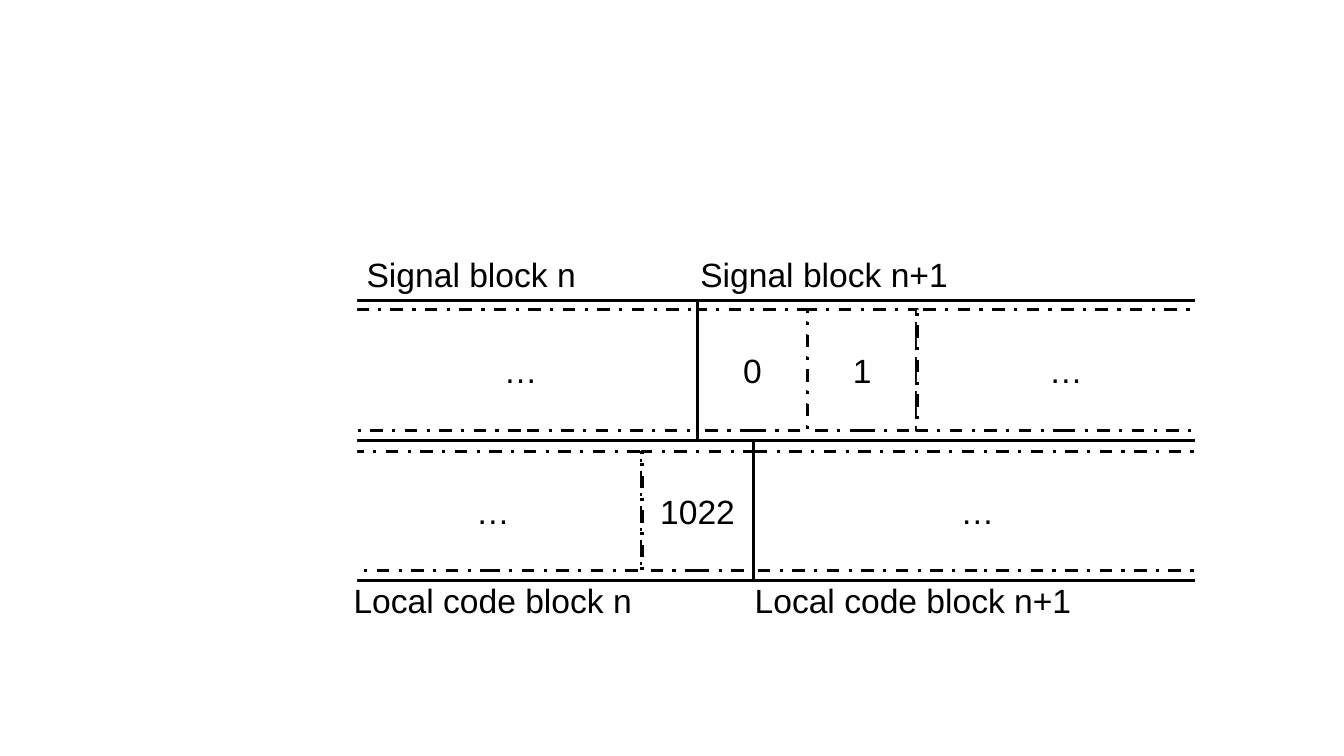
from dataclasses import dataclass
from itertools import pairwise

from pptx import Presentation
from pptx.dml.color import RGBColor
from pptx.enum.dml import MSO_LINE_DASH_STYLE as Dash
from pptx.enum.shapes import MSO_SHAPE as Preset
from pptx.enum.text import MSO_ANCHOR as Anchor
from pptx.enum.text import MSO_AUTO_SIZE as AutoSize
from pptx.enum.text import PP_ALIGN as Align
from pptx.shapes.autoshape import Shape
from pptx.shapes.group import GroupShape
from pptx.text.text import TextFrame
from pptx.util import Cm, Pt

BLACK = "000000"
WHITE = "FFFFFF"
FONT_FORMAT = {"name": "Arial", "size": Pt(24)}
FRAME_FORMAT = {"word_wrap": True, "vertical_anchor": Anchor.MIDDLE}
LABEL_FORMAT = {"word_wrap": True, "auto_size": AutoSize.SHAPE_TO_FIT_TEXT}

LEFT = 8.66
BLOCK_HEIGHT = 3.53
MASK_WIDTH = 0.69


@dataclass(frozen=True)
class Row:
    block_top: float
    block_edges: tuple[float, ...]
    cell_top: float
    cell_height: float
    cell_edges: tuple[float, ...]
    cell_texts: tuple[str, ...]


@dataclass(frozen=True)
class Label:
    text: str
    left: float
    top: float
    width: float


ROWS = (
    Row(7.57, (LEFT, 17.58, 30.61), 7.8, 3.05,
        (LEFT, 17.58, 20.35, 23.11, 30.61), ("…", "0", "1", "…")),
    Row(11.1, (LEFT, 18.98, 30.61), 11.38, 3.0,
        (LEFT, 16.18, 18.98, 30.28), ("…", "1022", "…")),
)
LABELS = (
    Label("Signal block n", 8.99, 6.27, 6.1),
    Label("Signal block n+1", 17.4, 6.27, 7.37),
    Label("Local code block n", LEFT, 14.5, 8.26),
    Label("Local code block n+1", 18.77, 14.5, 8.81),
)
MASK_LEFTS = (8.31, 30.12)


def color(value: str) -> RGBColor:
    return RGBColor.from_string(value)


def apply_format(target: object, values: dict[str, object]) -> None:
    for name, value in values.items():
        setattr(target, name, value)


def write_text(frame: TextFrame, text: str, align: Align) -> None:
    para = frame.paragraphs[0]
    para.alignment = align
    span = para.add_run()
    span.text = text
    apply_format(span.font, FONT_FORMAT)
    span.font.color.rgb = color(BLACK)


def add_box(diagram: GroupShape, left: float, top: float, width: float, height: float,
            filled: bool = True, outlined: bool = True) -> Shape:
    box = diagram.shapes.add_shape(Preset.RECTANGLE, Cm(left), Cm(top), Cm(width), Cm(height))
    box.shadow.inherit = False
    if filled:
        box.fill.solid()
        box.fill.fore_color.rgb = color(WHITE)
    else:
        box.fill.background()
    if outlined:
        box.line.color.rgb = color(BLACK)
        box.line.width = Pt(2.25)
    else:
        box.line.fill.background()
    return box


def draw_row(diagram: GroupShape, row: Row) -> None:
    for (left, right), text in zip(pairwise(row.cell_edges), row.cell_texts):
        cell = add_box(diagram, left, row.cell_top, right - left, row.cell_height)
        cell.line.dash_style = Dash.DASH_DOT
        apply_format(cell.text_frame, FRAME_FORMAT)
        write_text(cell.text_frame, text, Align.CENTER)
    for left, right in pairwise(row.block_edges):
        add_box(diagram, left, row.block_top, right - left, BLOCK_HEIGHT, filled=False)


def draw_label(diagram: GroupShape, label: Label) -> None:
    box = diagram.shapes.add_textbox(Cm(label.left), Cm(label.top), Cm(label.width), Cm(1.27))
    apply_format(box.text_frame, LABEL_FORMAT)
    write_text(box.text_frame, label.text, Align.LEFT)


def main() -> None:
    deck = Presentation()
    apply_format(deck, {"slide_width": Cm(33.87), "slide_height": Cm(19.05)})
    page = deck.slides.add_slide(deck.slide_layouts[6])
    diagram = page.shapes.add_group_shape()
    for row in ROWS:
        draw_row(diagram, row)
    for label in LABELS:
        draw_label(diagram, label)
    for left in MASK_LEFTS:
        add_box(diagram, left, 7.32, MASK_WIDTH, 7.54, outlined=False)
    deck.save("out.pptx")


if __name__ == "__main__":
    main()
